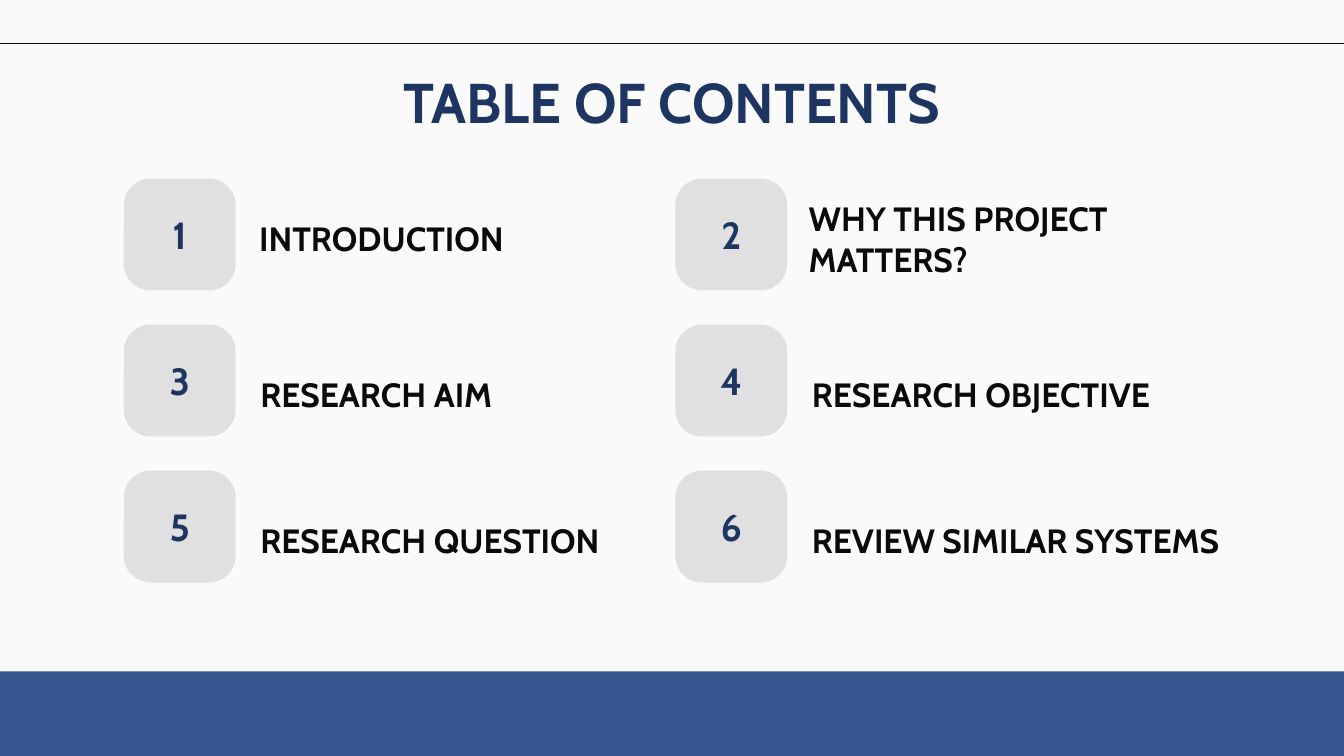
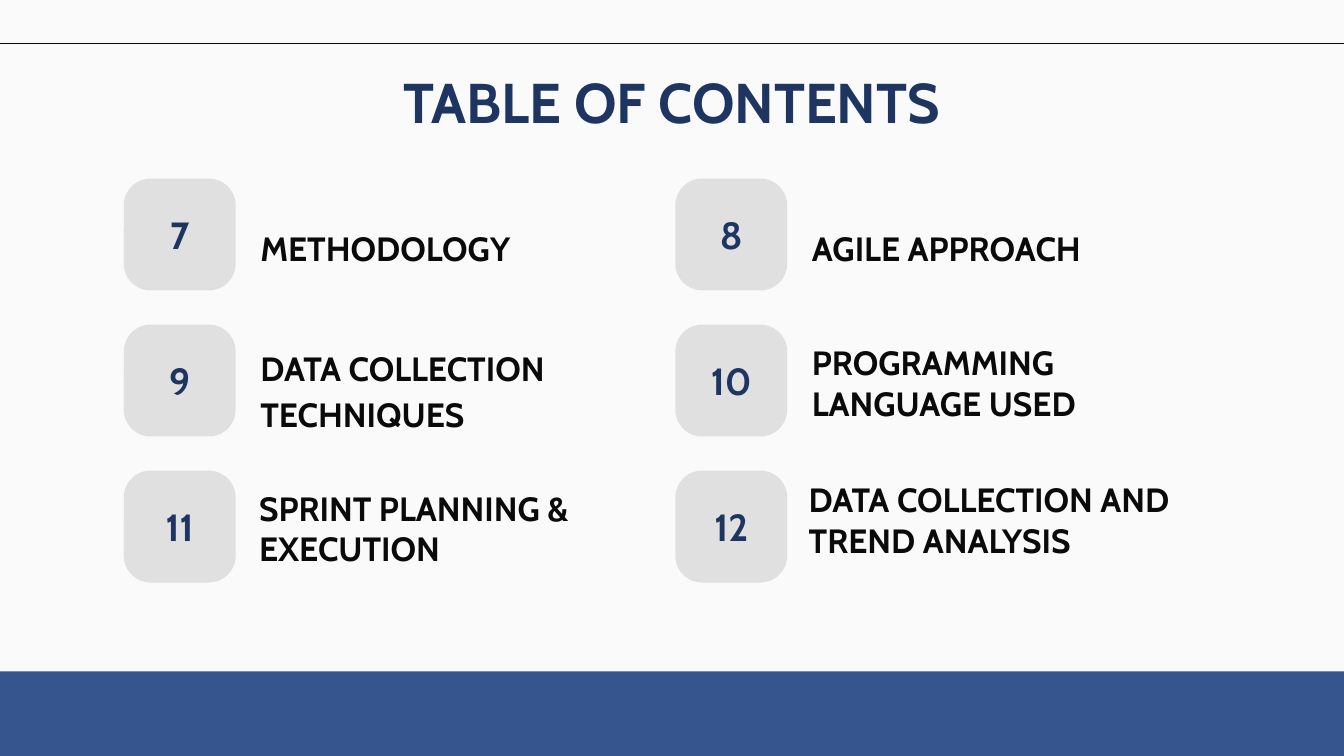
from dataclasses import dataclass

from lxml.etree import SubElement
from pptx import Presentation
from pptx.dml.color import RGBColor
from pptx.enum.shapes import MSO_CONNECTOR as Connector, MSO_SHAPE as Shape
from pptx.enum.text import MSO_ANCHOR as Anchor, MSO_AUTO_SIZE as AutoSize, PP_ALIGN as Align
from pptx.oxml.ns import qn
from pptx.util import Cm, Pt


@dataclass(frozen=True)
class Theme:
    font: str = "Cabin"
    paper: RGBColor = RGBColor(0xFA, 0xFA, 0xFA)
    band: RGBColor = RGBColor(0x36, 0x55, 0x8F)
    tile: RGBColor = RGBColor(0xE0, 0xE0, 0xE0)
    navy: RGBColor = RGBColor(0x1E, 0x35, 0x61)
    ink: RGBColor = RGBColor(0x0A, 0x0A, 0x0A)
    title_size: int = 40
    number_size: int = 27
    label_size: int = 24


@dataclass(frozen=True)
class Entry:
    """A contents line; drop is from the tile's top to the label's bottom, in cm."""
    text: str
    drop: float = 2.59
    shift: float = 0
    width: float = 10.62
    spacing: float = 1.0


theme = Theme()

# Contents, read across and then down
contents = [
    [
        Entry("INTRODUCTION", drop=2.34, shift=-0.03),
        Entry("WHY THIS PROJECT MATTERS?", drop=2.87, shift=-0.08),
        Entry("RESEARCH AIM", width=10.36, spacing=1.15),
        Entry("RESEARCH OBJECTIVE"),
        Entry("RESEARCH QUESTION"),
        Entry("REVIEW SIMILAR SYSTEMS", width=11.96),
    ],
    [
        Entry("METHODOLOGY"),
        Entry("AGILE APPROACH"),
        Entry("DATA COLLECTION TECHNIQUES", drop=3.1, width=10.36, spacing=1.15),
        Entry("PROGRAMMING LANGUAGE USED", drop=2.82),
        Entry("SPRINT PLANNING & EXECUTION", drop=2.8, shift=-0.03),
        Entry("DATA COLLECTION AND TREND ANALYSIS", shift=-0.08),
    ],
]

# Grid, in cm
columns = 2
grid_left, grid_top = 3.12, 4.5
column_step, row_step = 13.9, 3.68
tile_size = 2.82
label_offset, label_height = 3.1, 2.36


def write(shape, text, size, color, align, anchor, spacing=1.0):
    frame = shape.text_frame
    frame.word_wrap = True
    frame.auto_size = AutoSize.NONE
    frame.vertical_anchor = anchor
    frame.margin_left = frame.margin_right = Cm(0.34)
    frame.margin_top = frame.margin_bottom = Cm(0.34)
    para = frame.paragraphs[0]
    para.alignment = align
    para.line_spacing = spacing
    span = para.add_run()
    span.text = text
    span.font.name = theme.font
    span.font.size = Pt(size)
    span.font.bold = True
    span.font.color.rgb = color


def add_block(page, kind, left, top, width, height, color):
    block = page.shapes.add_shape(kind, left, top, width, height)
    block.shadow.inherit = False
    block.fill.solid()
    block.fill.fore_color.rgb = color
    block.line.fill.background()
    return block


deck = Presentation()
deck.slide_width, deck.slide_height = Cm(33.87), Cm(19.05)

# Shared background and title position
background = deck.slide_master.background.fill
background.solid()
background.fore_color.rgb = theme.paper
layout = deck.slide_layouts.get_by_name("Title Only")
heading = layout.placeholders[0]
heading.left, heading.top = Cm(2.67), Cm(1.35)
heading.width, heading.height = Cm(28.52), Cm(2.03)

pages = [deck.slides.add_slide(layout) for _ in contents]

# Shared band and rule, drawn once and moved to the layout
band_top = Cm(16.92)
band = add_block(pages[0], Shape.RECTANGLE, 0, band_top,
                 deck.slide_width, deck.slide_height - band_top, theme.band)
rule = pages[0].shapes.add_connector(Connector.STRAIGHT, 0, Cm(1.09), deck.slide_width, Cm(1.09))
rule.line.color.rgb = theme.ink
rule.line.width = Pt(0.75)
SubElement(rule.element.spPr, qn("a:effectLst"))
for decoration in (band, rule):
    layout.shapes.element.append(decoration.element)

# Contents pages
number = 0
for page, entries in zip(pages, contents):
    write(page.shapes.title, "TABLE OF CONTENTS", theme.title_size, theme.navy,
          Align.CENTER, Anchor.TOP)
    for index, entry in enumerate(entries):
        number += 1
        row, column = divmod(index, columns)
        left = grid_left + column * column_step
        top = grid_top + row * row_step

        # Numbered tile
        tile = add_block(page, Shape.ROUNDED_RECTANGLE, Cm(left), Cm(top),
                         Cm(tile_size), Cm(tile_size), theme.tile)
        tile.adjustments[0] = 0.24
        write(tile, str(number), theme.number_size, theme.navy, Align.CENTER, Anchor.MIDDLE)

        # Label
        label = page.shapes.add_textbox(
            Cm(left + label_offset + entry.shift), Cm(top + entry.drop - label_height),
            Cm(entry.width), Cm(label_height))
        write(label, entry.text, theme.label_size, theme.ink, Align.LEFT, Anchor.BOTTOM,
              entry.spacing)

deck.save("out.pptx")
